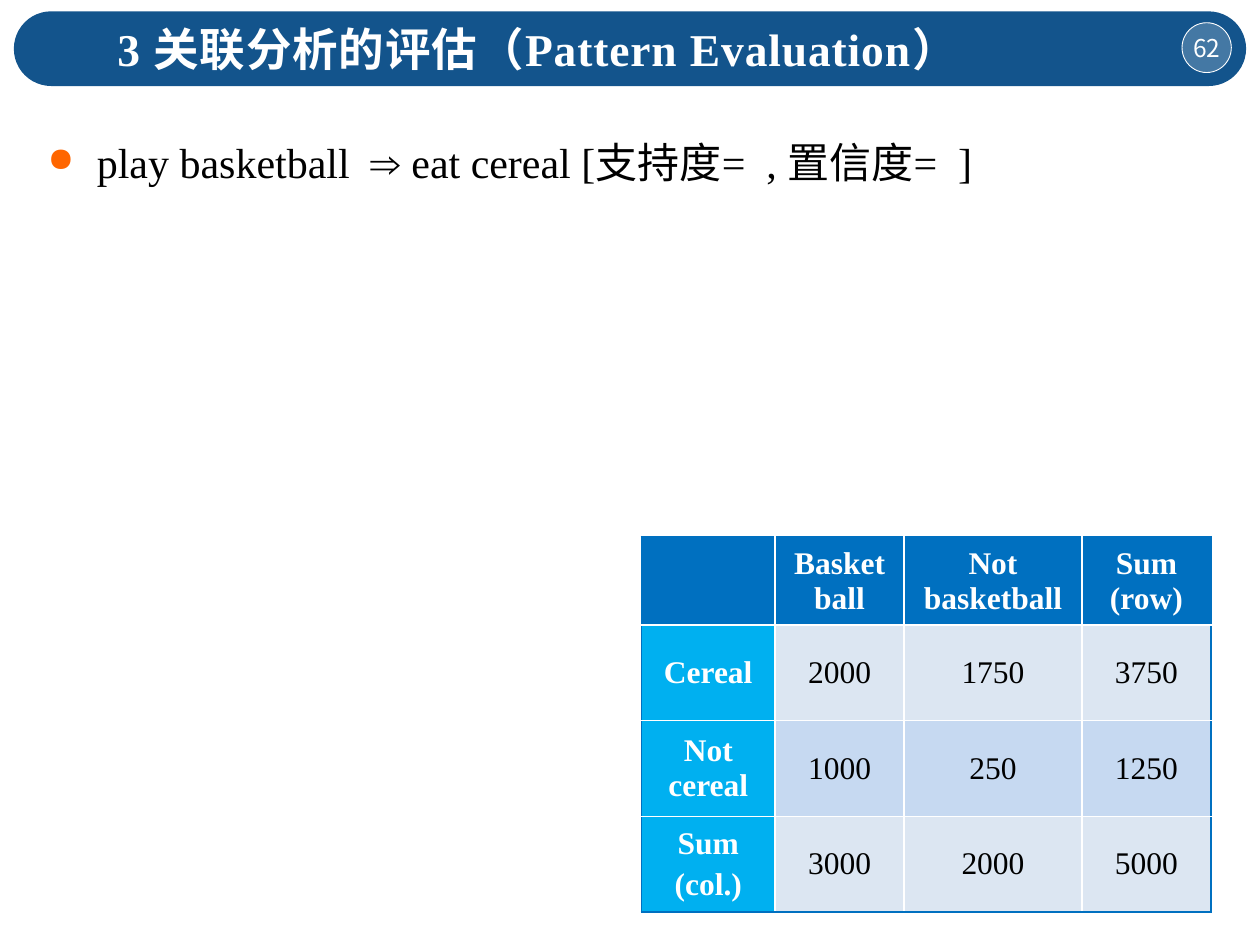
from dataclasses import dataclass

from lxml import etree
from pptx import Presentation
from pptx.dml.color import RGBColor
from pptx.enum.shapes import MSO_SHAPE
from pptx.enum.text import MSO_ANCHOR, PP_ALIGN
from pptx.oxml.ns import qn
from pptx.util import Emu, Inches, Pt

ROUNDED, OVAL = MSO_SHAPE.ROUNDED_RECTANGLE, MSO_SHAPE.OVAL
LEFT, CENTER, MIDDLE = PP_ALIGN.LEFT, PP_ALIGN.CENTER, MSO_ANCHOR.MIDDLE


@dataclass(frozen=True)
class Theme:
    latin: str = "Times New Roman"
    cjk: str = "Noto Sans CJK SC"
    banner: str = "13548C"
    white: str = "FFFFFF"
    ink: str = "000000"
    bullet: str = "FF6600"
    header: str = "0070C0"
    label: str = "00B0F0"
    bands: tuple = ("DCE6F2", "C6D9F1")
    title_size: int = 26
    body_size: int = 24
    cell_size: int = 18
    badge_size: int = 14


@dataclass(frozen=True)
class Box:
    left: float
    top: float
    width: float
    height: float

    def share(self, left, top, width, height):
        return Box(self.left + left * self.width, self.top + top * self.height,
                   width * self.width, height * self.height)

    def place(self):
        return [Emu(round(v)) for v in (self.left, self.top, self.width, self.height)]


THEME = Theme()
COLUMN_SHARES = (1.06, 1.02, 1.41, 1.02)
ROW_SHARES = (0.70, 0.76, 0.76, 0.76)
COUNTS = (
    ("", "Basketball", "Not basketball", "Sum (row)"),
    ("Cereal", "2000", "1750", "3750"),
    ("Not cereal", "1000", "250", "1250"),
    ("Sum\n(col.)", "3000", "2000", "5000"),
)


def rgb(color):
    return RGBColor.from_string(color)


def add_element(parent, tag, **attributes):
    return etree.SubElement(parent, qn(tag), attributes)


def style_text(frame, size, color, bold=False, align=LEFT, latin=THEME.latin):
    for paragraph in frame.paragraphs:
        paragraph.alignment = align
        for run in paragraph.runs:
            font = run.font
            font.size, font.bold, font.name = Pt(size), bold, latin
            font.color.rgb = rgb(color)
            add_element(run._r.get_or_add_rPr(), "a:ea", typeface=THEME.cjk)


def add_text(slide, box, text):
    frame = slide.shapes.add_textbox(*box.place()).text_frame
    frame.word_wrap = True
    frame.text = text
    return frame


def add_solid(slide, preset, box, color):
    shape = slide.shapes.add_shape(preset, *box.place())
    shape.shadow.inherit = False
    shape.fill.solid()
    shape.fill.fore_color.rgb = rgb(color)
    return shape


def add_banner(slide, box, title, number):
    bar = add_solid(slide, ROUNDED, box, THEME.banner)
    bar.adjustments[0] = 0.5
    bar.line.fill.background()

    badge = add_solid(slide, OVAL, box.share(0.948, 0.153, 0.04, 0.667), THEME.white)
    tint = badge.fill._xPr.find(qn("a:solidFill"))[0]
    add_element(tint, "a:alpha", val="21000")
    badge.line.color.rgb = rgb(THEME.white)
    badge.line.width = Pt(0.5)
    frame = badge.text_frame
    frame.margin_left = frame.margin_right = frame.margin_top = frame.margin_bottom = 0
    frame.word_wrap = False
    frame.vertical_anchor = MIDDLE
    frame.text = number
    style_text(frame, THEME.badge_size, THEME.white, align=CENTER, latin=THEME.cjk)

    heading = add_text(slide, box.share(0.074, 0.05, 0.759, 0.915), title)
    style_text(heading, THEME.title_size, THEME.white, bold=True)
    for run in heading.paragraphs[0].runs:
        run._r.get_or_add_rPr().set("spc", "50")


def add_rule(slide, box, text):
    frame = add_text(slide, box, text)
    paragraph = frame.paragraphs[0]
    paragraph.line_spacing = 1.5
    properties = paragraph._p.get_or_add_pPr()
    indent = Inches(0.39)
    properties.set("marL", str(indent))
    properties.set("indent", str(-indent))
    add_element(add_element(properties, "a:buClr"), "a:srgbClr", val=THEME.bullet)
    add_element(properties, "a:buSzPct", val="80000")
    add_element(properties, "a:buChar", char="●")
    style_text(frame, THEME.body_size, THEME.ink)


def add_borders(cell, outer_sides):
    properties = cell._tc.get_or_add_tcPr()
    for side in "LRTB":
        color = THEME.header if side in outer_sides else THEME.white
        line = add_element(properties, f"a:ln{side}", w=str(Pt(1)))
        add_element(add_element(line, "a:solidFill"), "a:srgbClr", val=color)


def add_counts(slide, box, rows):
    last_row, last_column = len(rows) - 1, len(rows[0]) - 1
    table = slide.shapes.add_table(last_row + 1, last_column + 1, *box.place()).table
    table.first_row = table.horz_banding = False
    for column, share in zip(table.columns, COLUMN_SHARES):
        column.width = Emu(round(box.width * share / sum(COLUMN_SHARES)))
    for row, share in zip(table.rows, ROW_SHARES):
        row.height = Emu(round(box.height * share / sum(ROW_SHARES)))

    for r, values in enumerate(rows):
        for c, value in enumerate(values):
            cell = table.cell(r, c)
            edges = {"L": c == 0, "R": c == last_column, "T": r == 0, "B": r == last_row}
            add_borders(cell, [side for side, outer in edges.items() if outer])
            heading = r == 0 or c == 0
            band = THEME.bands[(r - 1) % 2]
            cell.fill.solid()
            cell.fill.fore_color.rgb = rgb(
                THEME.header if r == 0 else THEME.label if c == 0 else band)
            cell.vertical_anchor = MIDDLE
            cell.text_frame.text = value
            style_text(cell.text_frame, THEME.cell_size,
                       THEME.white if heading else THEME.ink, heading, CENTER)
            for paragraph in cell.text_frame.paragraphs[1:]:
                paragraph.space_before = Pt(0.2 * THEME.cell_size)


def main():
    deck = Presentation()
    deck.slide_width, deck.slide_height = Inches(10), Inches(7.5)
    slide = deck.slides.add_slide(deck.slide_layouts[6])
    page = Box(0, 0, deck.slide_width, deck.slide_height)
    add_banner(slide, page.share(0.011, 0.012, 0.978, 0.079),
               "3 关联分析的评估（Pattern Evaluation）", "62")
    add_rule(slide, page.share(0.028, 0.111, 0.945, 0.084),
             "play basketball  ⇒ eat cereal [支持度=  , 置信度=  ]")
    add_counts(slide, page.share(0.509, 0.568, 0.452, 0.397), COUNTS)
    deck.save("out.pptx")


if __name__ == "__main__":
    main()
